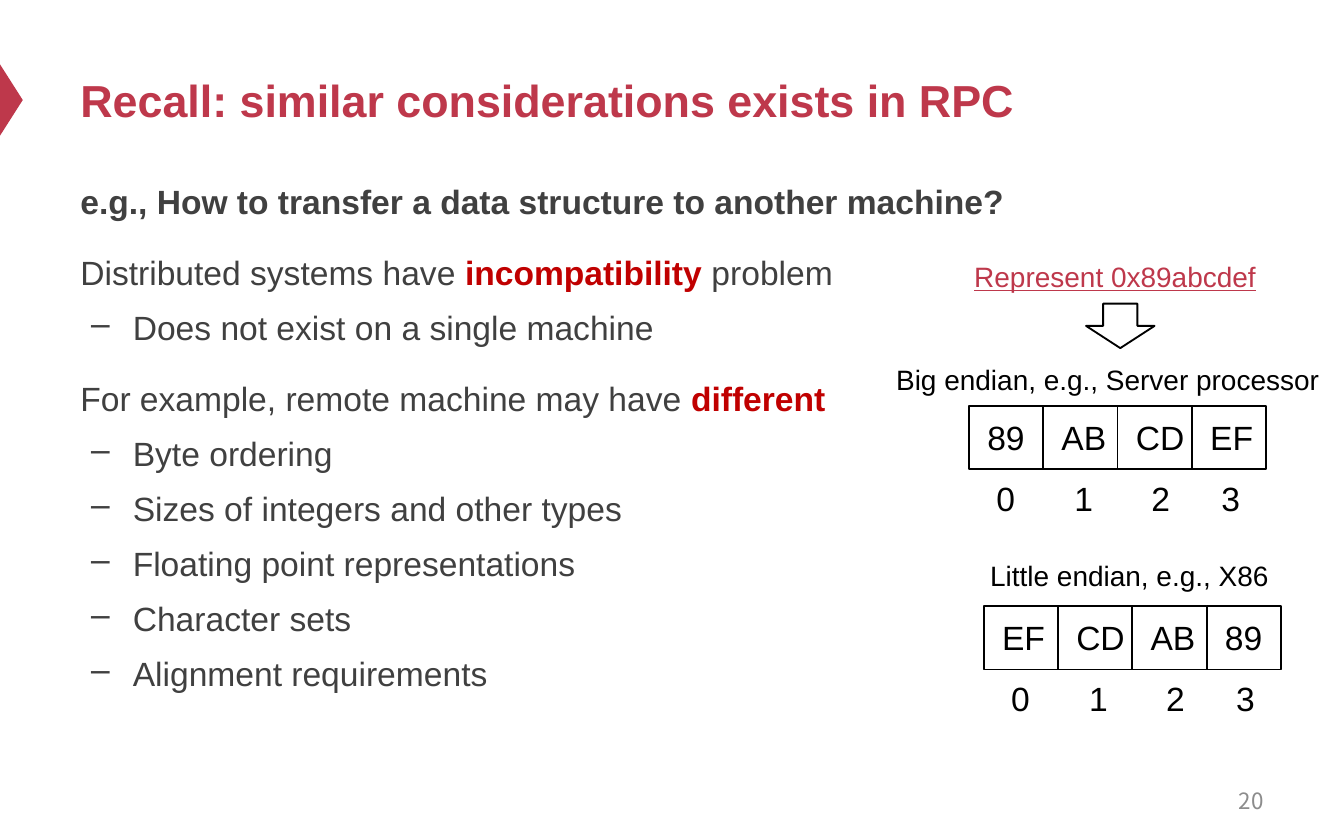
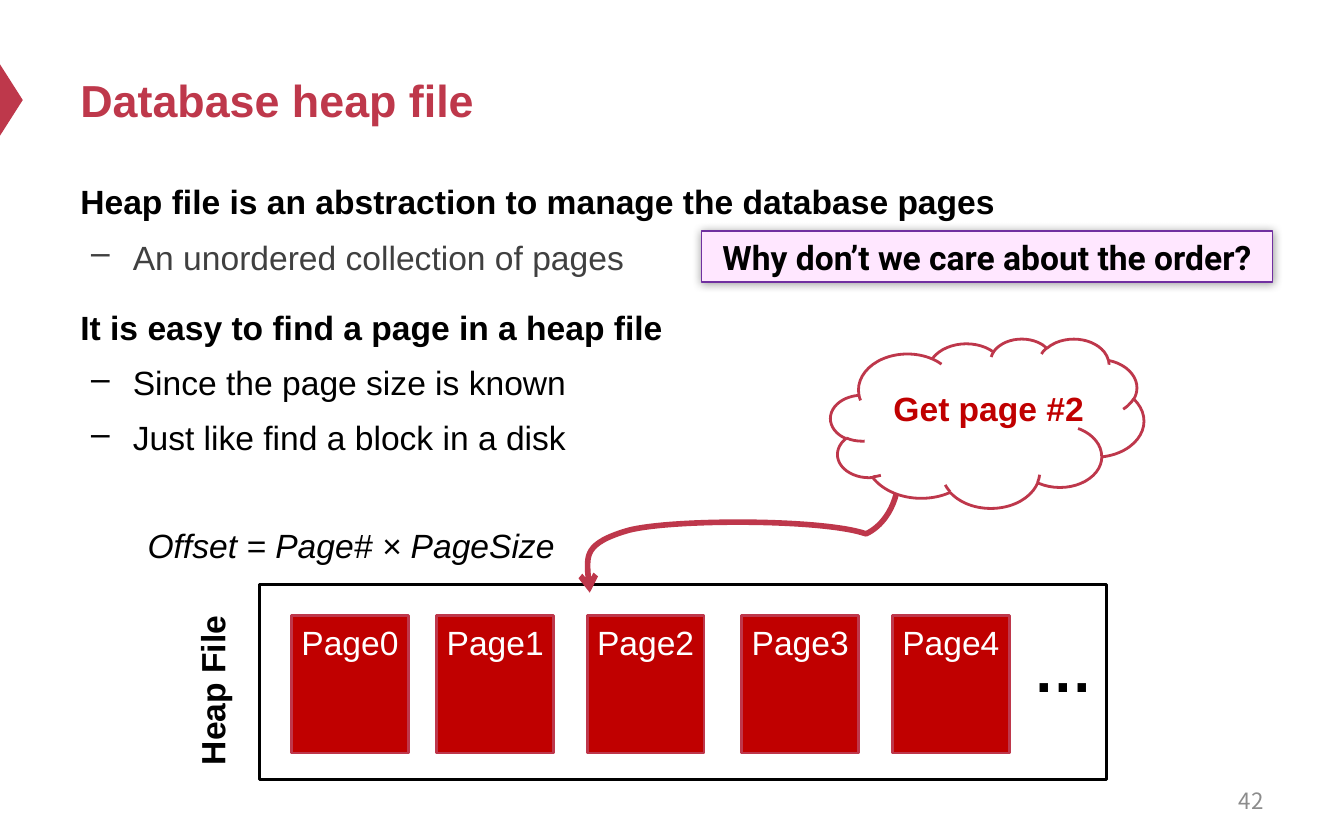
from lxml import etree
from pptx import Presentation
from pptx.dml.color import RGBColor as Color
from pptx.enum.shapes import MSO_SHAPE as Shape
from pptx.enum.text import MSO_ANCHOR as Anchor, PP_ALIGN as Align
from pptx.oxml.ns import qn
from pptx.util import Pt

COLORS = {
    "accent": "BE384B",
    "outline": "BE374B",
    "red": "C00000",
    "black": "000000",
    "gray": "404040",
    "number": "8C8C8C",
    "white": "FFFFFF",
    "pink": "FFE7FF",
    "purple": "7030A0",
}
PALETTE = {name: Color.from_string(value) for name, value in COLORS.items()}


def add_text(page, frame, text, size=18, color="black", face="Arial", wrap=False,
             anchor=Anchor.TOP, align=Align.LEFT, **styles):
    box = page.shapes.add_textbox(*map(Pt, frame))
    box.text_frame.word_wrap = wrap
    box.text_frame.vertical_anchor = anchor
    para = box.text_frame.paragraphs[0]
    para.text = text
    para.alignment = align
    font = para.font
    font.name, font.size, font.color.rgb = face, Pt(size), PALETTE[color]
    for style, value in styles.items():
        setattr(font, style, value)
    return box


def add_shape(page, kind, frame, fill=None, line=None, width=1):
    shape = page.shapes.add_shape(kind, *map(Pt, frame))
    shape.shadow.inherit = False
    if fill:
        shape.fill.solid()
        shape.fill.fore_color.rgb = PALETTE[fill]
    else:
        shape.fill.background()
    if line:
        shape.line.color.rgb = PALETTE[line]
        shape.line.width = Pt(width)
    else:
        shape.line.fill.background()
    return shape


deck = Presentation()
deck.slide_width, deck.slide_height = Pt(720), Pt(450)

CONTENT = [
    ("Recall: similar considerations exists in RPC", "20", 324, [
        (0, "gray", True, "e.g., How to transfer a data structure to another machine?"),
        (0, "gray", False, "Distributed systems have |incompatibility| problem"),
        (1, "gray", False, "Does not exist on a single machine"),
        (0, "gray", False, "For example, remote machine may have |different"),
        (1, "gray", False, "Byte ordering"),
        (1, "gray", False, "Sizes of integers and other types"),
        (1, "gray", False, "Floating point representations"),
        (1, "gray", False, "Character sets"),
        (1, "gray", False, "Alignment requirements"),
    ]),
    ("Database heap file", "42", 179, [
        (0, "black", True, "Heap file is an abstraction to manage the database pages"),
        (1, "gray", False, "An unordered collection of pages"),
        (0, "black", True, "It is easy to find a page in a heap file"),
        (1, "black", False, "Since the page size is known"),
        (1, "black", False, "Just like find a block in a disk"),
    ]),
]

pages = []
for title, number, body_height, lines in CONTENT:
    page = deck.slides.add_slide(deck.slide_layouts[6])
    pages.append(page)
    marker = add_shape(page, Shape.ISOSCELES_TRIANGLE, (-13, 47.5, 38.2, 12.2), "accent")
    marker.rotation = 90
    add_text(page, (36, 18, 648, 70.6), title, 24, "accent", wrap=True,
             anchor=Anchor.MIDDLE, bold=True)

    body = page.shapes.add_textbox(Pt(36), Pt(89.3), Pt(648), Pt(body_height)).text_frame
    body.word_wrap = True
    for index, (level, color, bold, text) in enumerate(lines):
        para = body.add_paragraph() if index else body.paragraphs[0]
        para.line_spacing = 1.2
        if index:
            para.space_before = Pt(3.6 if level else 12)
        if level:
            para.level = level
            settings = para._p.get_or_add_pPr()
            settings.set("marL", str(Pt(28.1)))
            settings.set("indent", str(Pt(-22.3)))
            etree.SubElement(settings, qn("a:buChar")).set("char", "–")
        para.font.name, para.font.size = "Arial", Pt(18)
        para.font.bold, para.font.color.rgb = bold, PALETTE[color]
        for position, piece in enumerate(text.split("|")):
            run = para.add_run()
            run.text = piece
            if position % 2:
                run.font.bold, run.font.color.rgb = True, PALETTE["red"]

    add_text(page, (516.2, 416.9, 167.8, 23.8), number, 12, "number", "Noto Sans CJK SC",
             wrap=True, anchor=Anchor.MIDDLE, align=Align.RIGHT)

rpc, heap = pages

BYTE_WIDTHS = {"89": 34.6, "AB": 38.9, "CD": 41, "EF": 37.4}
INDEX_OFFSETS = [7.6, 49.4, 90.7, 128.2]
for left, top, order in [(519.1, 217.4, ["89", "AB", "CD", "EF"]),
                         (527, 324.7, ["EF", "CD", "AB", "89"])]:
    for index, byte in enumerate(order):
        cell_left = left + index * 39.8
        add_shape(rpc, Shape.RECTANGLE, (cell_left, top, 39.8, 34), line="black")
        add_text(rpc, (cell_left + 2.7, top + 2.2, BYTE_WIDTHS[byte], 29), byte)
        add_text(rpc, (left + INDEX_OFFSETS[index], top + 35, 24.5, 29), str(index))

add_text(rpc, (473, 190.8, 242, 25.2), "Big endian, e.g., Server processor", 15)
add_text(rpc, (523.4, 295.9, 165.6, 25.2), "Little endian, e.g., X86", 15)
add_text(rpc, (514.8, 135.4, 167, 25.2), "Represent 0x89abcdef", 15, "accent", underline=True)
add_shape(rpc, Shape.DOWN_ARROW, (581.8, 162.7, 36.7, 23.8), line="black")

add_shape(heap, Shape.RECTANGLE, (139, 313.2, 453.6, 104.4), line="black", width=1.5)
add_text(heap, (66.2, 355, 95, 29), "Heap File", bold=True).rotation = 270
for index, left in enumerate([156.2, 234, 314.6, 397.4, 478.1]):
    add_shape(heap, Shape.RECTANGLE, (left, 329.8, 62.6, 73.6), "red", "outline", 1.5)
    add_text(heap, (left - 1.8, 329.8, 67, 29), f"Page{index}", color="white")
add_text(heap, (546.5, 335.5, 46.8, 46), "…", 32, bold=True)

CURVE = [(481, 278), (464, 286), (441, 278), (361, 278), (337, 284),
         (312.5, 291), (314, 304), (316, 317.5)]
CURVE.insert(0, (487, 251))
CURVE[0:0] = [(476, 233)]
curve = heap.shapes.build_freeform(Pt(476), Pt(233))
curve.add_line_segments([(Pt(x), Pt(y)) for x, y in CURVE[1:]], close=False)
pointer = curve.convert_to_shape()
segments = pointer._element.xpath(".//a:lnTo")
for first, second, third in zip(*[iter(segments)] * 3):
    first.tag = qn("a:cubicBezTo")
    for segment in (second, third):
        first.append(segment[0])
        segment.getparent().remove(segment)
pointer.shadow.inherit = False
pointer.fill.background()
pointer.line.color.rgb = PALETTE["outline"]
pointer.line.width = Pt(3)
etree.SubElement(pointer.line._get_or_add_ln(), qn("a:tailEnd")).set("type", "arrow")

add_text(heap, (72, 277.9, 242.6, 29), "Offset = Page# × PageSize", italic=True)
add_shape(heap, Shape.CLOUD, (445, 181.4, 167.8, 90.7), "white", "outline", 1.5)
add_text(heap, (471.6, 204.5, 117.4, 29), "Get page #2", color="red", bold=True)

question = add_shape(heap, Shape.RECTANGLE, (375.8, 123.8, 306, 27.4), "pink", "purple", 0.75)
effects = question._element.spPr.find(qn("a:effectLst"))
glow = etree.SubElement(effects, qn("a:outerShdw"), blurRad=str(Pt(5)), dist="0", dir="0")
shade = etree.SubElement(glow, qn("a:srgbClr"), val=COLORS["black"])
etree.SubElement(shade, qn("a:alpha"), val="40000")
frame = question.text_frame
frame.word_wrap = True
frame.margin_left = frame.margin_right = Pt(8.6)
frame.margin_top = frame.margin_bottom = Pt(2.9)
para = frame.paragraphs[0]
para.text = "Why don’t we care about the order?"
para.alignment = Align.CENTER
para.font.name, para.font.size, para.font.bold = "Roboto", Pt(18), True
para.font.color.rgb = PALETTE["black"]

deck.save("out.pptx")
